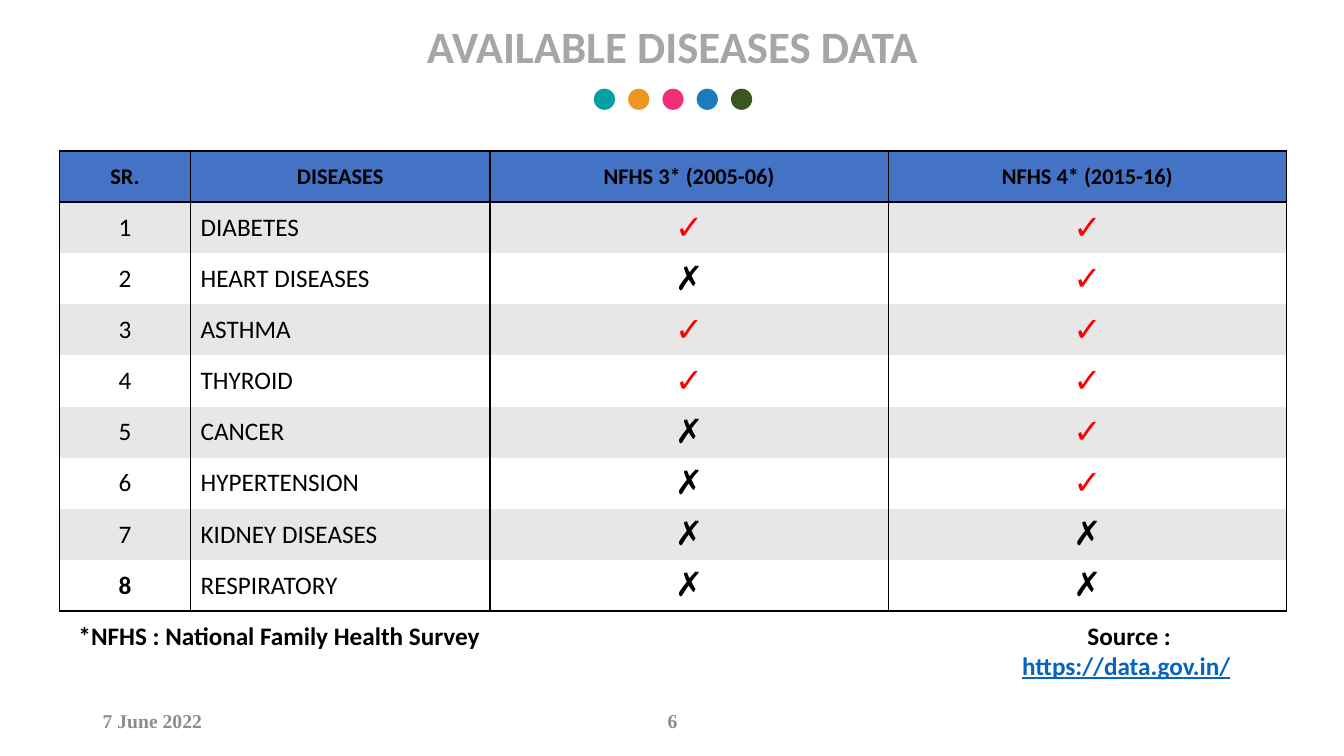
import pptx
import pptx.dml.color
import pptx.enum.shapes
import pptx.enum.text
import pptx.oxml
import pptx.oxml.ns
import pptx.util

Inches = pptx.util.Inches
Pt = pptx.util.Pt
Align = pptx.enum.text.PP_ALIGN
Anchor = pptx.enum.text.MSO_ANCHOR

THEME = {
    "dots": ["03A1A4", "EE9524", "EF3078", "1C7CBB", "385723"],
    "header": "4472C4",
    "bands": ["E7E7E7", "FFFFFF"],
    "styles": {
        "title": ("A6A6A6", {"name": "Calibri", "size": Pt(32), "bold": True}),
        "footer": ("8C8C8C", {"name": "Times New Roman", "size": Pt(14), "bold": True}),
        "note": ("000000", {"name": "Calibri", "size": Pt(18), "bold": True}),
        "link": ("0563C1", {"name": "Calibri", "size": Pt(18), "bold": True, "underline": True}),
        "heading": ("000000", {"name": "Calibri", "size": Pt(16), "bold": True}),
        "body": ("000000", {"name": "Calibri", "size": Pt(18), "bold": False}),
        "✓": ("FF0000", {"name": "Calibri", "size": Pt(24), "bold": False}),
        "✗": ("000000", {"name": "Calibri", "size": Pt(24), "bold": False}),
    },
}


def add_run(paragraph, text, style):
    color, font_values = THEME["styles"][style]
    run = paragraph.add_run()
    run.text = text
    for name, value in font_values.items():
        setattr(run.font, name, value)
    run.font.color.rgb = pptx.dml.color.RGBColor.from_string(color)


def set_border(cell, side, points):
    line = (f'<a:solidFill><a:srgbClr val="000000"/></a:solidFill>' if points else "<a:noFill/>")
    cell._tc.get_or_add_tcPr().append(pptx.oxml.parse_xml(
        f'<a:ln{side} {pptx.oxml.ns.nsdecls("a")} w="{Pt(points)}">{line}</a:ln{side}>'))


presentation = pptx.Presentation()
presentation.slide_width = Inches(13.33)
presentation.slide_height = Inches(7.5)
slide = presentation.slides.add_slide(presentation.slide_layouts[5])

for index, color in enumerate(THEME["dots"]):
    dot = slide.shapes.add_shape(
        pptx.enum.shapes.MSO_SHAPE.OVAL,
        Inches(5.89 + 0.34 * index), Inches(0.88), Inches(0.21), Inches(0.21))
    dot.shadow.inherit = False
    dot.fill.solid()
    dot.fill.fore_color.rgb = pptx.dml.color.RGBColor.from_string(color)
    dot.line.fill.background()

title = slide.shapes.title
title_place = {"left": 2.69, "top": 0.14, "width": 7.96, "height": 0.64}
for name, value in title_place.items():
    setattr(title, name, Inches(value))
title.text_frame.auto_size = pptx.enum.text.MSO_AUTO_SIZE.NONE
title.text_frame.vertical_anchor = Anchor.TOP
title_paragraph = title.text_frame.paragraphs[0]
title_paragraph.alignment = Align.CENTER
add_run(title_paragraph, "AVAILABLE DISEASES DATA", "title")

rows = [
    ("SR.", "DISEASES", "NFHS 3* (2005-06)", "NFHS 4* (2015-16)"),
    ("1", "DIABETES", "✓", "✓"),
    ("2", "HEART DISEASES", "✗", "✓"),
    ("3", "ASTHMA", "✓", "✓"),
    ("4", "THYROID", "✓", "✓"),
    ("5", "CANCER", "✗", "✓"),
    ("6", "HYPERTENSION", "✗", "✓"),
    ("7", "KIDNEY DISEASES", "✗", "✗"),
    ("8", "RESPIRATORY", "✗", "✗"),
]
last_row = len(rows) - 1
table = slide.shapes.add_table(
    len(rows), 4, Inches(0.59), Inches(1.5), Inches(12.17), Inches(4.55)).table
for column, width in zip(table.columns, [1.3, 2.97, 3.95, 3.95]):
    column.width = Inches(width)

for row_index, row in enumerate(rows):
    is_header = row_index == 0
    fill = THEME["header"] if is_header else THEME["bands"][(row_index - 1) % 2]
    borders = {
        "L": 1,
        "R": 1,
        "T": 2 if row_index in (0, 1) else 0,
        "B": 2 if row_index in (0, last_row) else 0,
    }
    for column_index, text in enumerate(row):
        cell = table.cell(row_index, column_index)
        cell.vertical_anchor = Anchor.MIDDLE
        for side, points in borders.items():
            set_border(cell, side, points)
        cell.fill.solid()
        cell.fill.fore_color.rgb = pptx.dml.color.RGBColor.from_string(fill)
        if is_header:
            style = "heading"
        elif text == "8":
            style = "note"
        else:
            style = text if text in THEME["styles"] else "body"
        paragraph = cell.text_frame.paragraphs[0]
        is_name = column_index == 1 and not is_header
        paragraph.alignment = Align.LEFT if is_name else Align.CENTER
        add_run(paragraph, text, style)

captions = [
    ((0.92, 6.95, 3, 0.4), Anchor.MIDDLE, Align.LEFT, 0, [("7 June 2022", "footer")]),
    ((5.17, 6.95, 3, 0.4), Anchor.MIDDLE, Align.CENTER, 0, [("6", "footer")]),
    ((9.65, 6.1, 3.1, 0.45), Anchor.TOP, Align.CENTER, 10,
     [("Source : ", "note"), ("https://data.gov.in/", "link"), (" ", "note")]),
    ((0.68, 6.11, 4.31, 0.4), Anchor.TOP, Align.LEFT, 0,
     [("*NFHS : National Family Health Survey", "note")]),
]
for place, anchor, alignment, space_before, runs in captions:
    text_frame = slide.shapes.add_textbox(*map(Inches, place)).text_frame
    text_frame.word_wrap = True
    text_frame.vertical_anchor = anchor
    paragraph = text_frame.paragraphs[0]
    paragraph.alignment = alignment
    paragraph.space_before = Pt(space_before)
    for text, style in runs:
        add_run(paragraph, text, style)

presentation.save("out.pptx")
